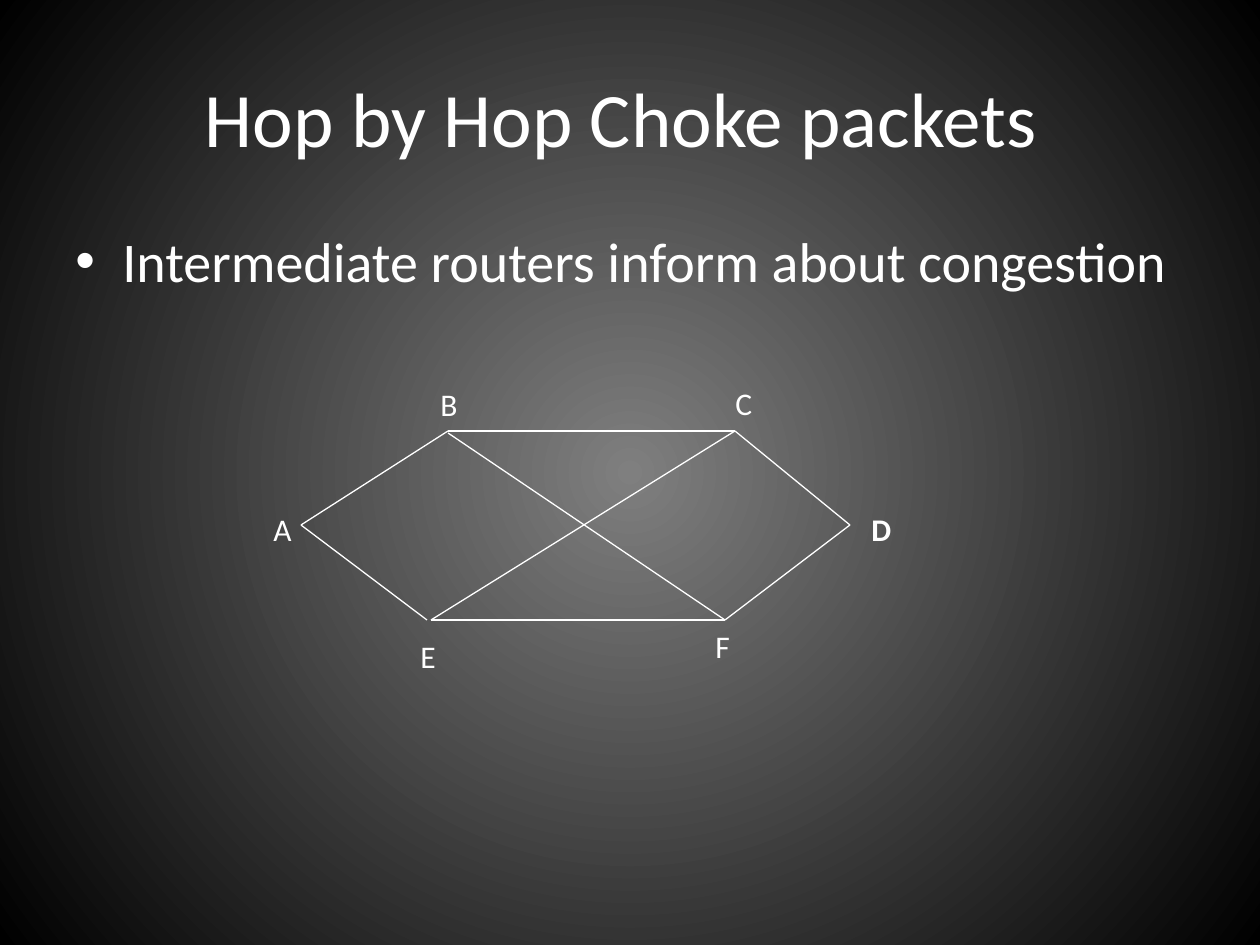
"""Build the slide on hop by hop choke packets with its six-node network."""
from lxml import etree
from pptx import Presentation
from pptx.dml.color import RGBColor
from pptx.enum.shapes import MSO_CONNECTOR
from pptx.enum.text import MSO_ANCHOR, PP_ALIGN
from pptx.oxml.ns import qn
from pptx.util import Pt

PX = 914400 / 126
WHITE = RGBColor(0xFF, 0xFF, 0xFF)
GREY = RGBColor(0x7F, 0x7F, 0x7F)
BLACK = RGBColor(0x00, 0x00, 0x00)
LINE = MSO_CONNECTOR.STRAIGHT
MIDDLE = MSO_ANCHOR.MIDDLE
CENTER = PP_ALIGN.CENTER


def px(*vals):
    return [round(v * PX) for v in vals]


def add_text(text, box, size, wrap=True, bold=False):
    shape = slide.shapes.add_textbox(*px(*box))
    shape.text_frame.word_wrap = wrap
    para = shape.text_frame.paragraphs[0]
    run = para.add_run()
    run.text = text
    look = {"name": "Calibri", "size": Pt(size), "bold": bold}
    for key, val in look.items():
        setattr(run.font, key, val)
    run.font.color.rgb = WHITE
    return shape.text_frame, para


deck = Presentation()
deck.slide_width, deck.slide_height = px(1260, 945)
slide = deck.slides.add_slide(deck.slide_layouts[6])

fill = slide.background.fill
fill.gradient()
for stop, color in zip(fill.gradient_stops, (GREY, BLACK)):
    stop.color.rgb = color
grad = slide.element.find(".//" + qn("a:gradFill"))
grad.remove(grad.find(qn("a:lin")))
glow = etree.SubElement(grad, qn("a:path"), path="circle")
etree.SubElement(glow, qn("a:fillToRect"), dict.fromkeys("ltrb", "50000"))

frame, para = add_text("Hop by Hop Choke packets ", (63, 38, 1134, 157), 44)
frame.vertical_anchor = MIDDLE
para.alignment = CENTER

frame, para = add_text("Intermediate routers inform about congestion", (63, 220, 1134, 84), 32)
props = para._p.get_or_add_pPr()
indent = px(47)[0]
props.set("marL", str(indent))
props.set("indent", str(-indent))
etree.SubElement(props, qn("a:buFont"), typeface="Arial")
etree.SubElement(props, qn("a:buChar"), char="•")

nodes = {
    "A": (301, 525),
    "B": (448, 431),
    "C": (735, 431),
    "D": (850, 525),
    "E": (431, 620),
    "F": (725, 620),
    "B low": (448, 433),
    "E left": (427, 620),
}
links = [
    ("B", "C"), ("E", "F"), ("A", "B"), ("A", "E left"),
    ("D", "C"), ("F", "D"), ("F", "B low"), ("C", "E"),
]
for start, end in links:
    link = slide.shapes.add_connector(LINE, *px(*nodes[start], *nodes[end]))
    link.line.color.rgb = WHITE
    link.line.width = Pt(0.75)
    etree.SubElement(link._element.spPr, qn("a:effectLst"))

labels = {
    "A": (261, 504, 44),
    "B": (428, 379, 43),
    "E": (408, 631, 40),
    "F": (703, 621, 40),
    "C": (723, 378, 43),
    "D": (859, 504, 45),
}
for name, (left, top, width) in labels.items():
    add_text(name, (left, top, width, 50), 18, wrap=False, bold=name == "D")

deck.save("out.pptx")
